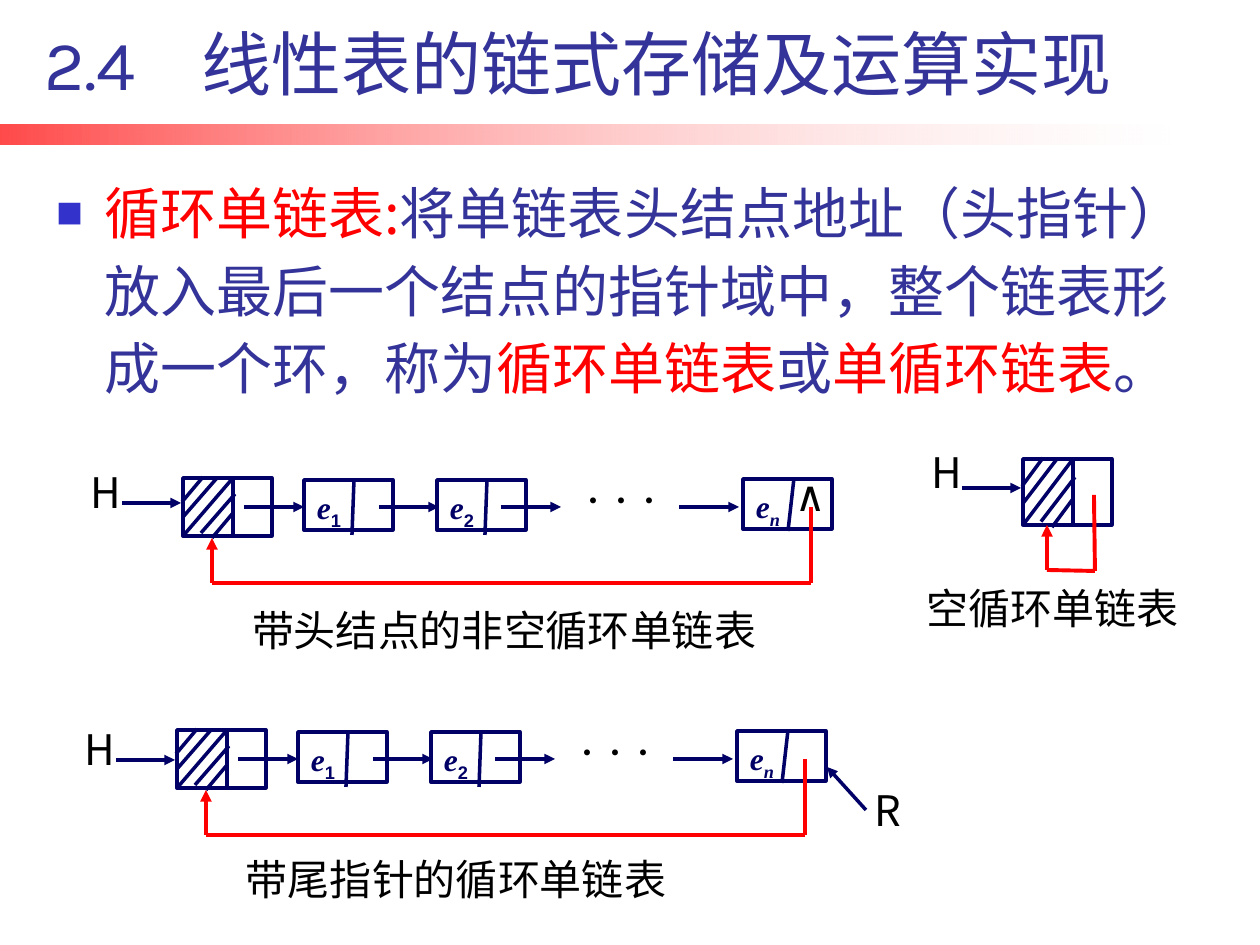
from dataclasses import dataclass

from lxml.etree import SubElement
from pptx import Presentation
from pptx.dml.color import RGBColor
from pptx.enum.shapes import MSO_CONNECTOR as Connector, MSO_SHAPE as Preset
from pptx.enum.text import MSO_ANCHOR as Anchor, PP_ALIGN as Align
from pptx.oxml.ns import qn
from pptx.util import Emu, Pt

EMU_PER_PX = 914400 / 126


@dataclass(frozen=True)
class Theme:
    ink: str = "000066"
    indigo: str = "333399"
    bullet: str = "3333CC"
    red: str = "FF0000"
    black: str = "000000"
    white: str = "FFFFFF"
    cjk: str = "Noto Sans CJK SC"
    heading: str = "Karla"
    serif: str = "Times New Roman"
    sans: str = "Arial"
    title_size: int = 40
    body_size: int = 32
    body_pitch: float = 44.3
    label_size: int = 24
    node_size: int = 18
    dots_size: int = 16
    line: float = 2
    loop_line: float = 2.25


def px(length):
    return Emu(round(length * EMU_PER_PX))


def write(paragraph, text, *, font, size, color, bold=False, italic=False, baseline=None):
    run = paragraph.add_run()
    run.text = text
    run.font.size = Pt(size)
    run.font.bold = bold
    run.font.italic = italic
    run.font.color.rgb = RGBColor.from_string(color)
    run.font.name = font
    properties = run._r.get_or_add_rPr()
    SubElement(properties, qn("a:ea"), typeface=Theme.cjk)
    if baseline is not None:
        properties.set("baseline", str(baseline * 1000))


class Board:
    def __init__(self, slide, theme):
        self.slide = slide
        self.theme = theme

    def frame(self, shape, left=13, top=0, right=0, bottom=0, anchor=Anchor.TOP, wrap=True):
        frame = shape.text_frame
        frame.margin_left, frame.margin_top = px(left), px(top)
        frame.margin_right, frame.margin_bottom = px(right), px(bottom)
        frame.vertical_anchor = anchor
        frame.word_wrap = wrap
        paragraph = frame.paragraphs[0]
        paragraph.alignment = Align.LEFT
        return paragraph

    def title(self, number, text, x, y, w, h, tab):
        shape = self.slide.shapes.title
        shape.left, shape.top, shape.width, shape.height = map(px, (x, y, w, h))
        paragraph = self.frame(shape, left=0, anchor=Anchor.BOTTOM)
        tabs = SubElement(paragraph._p.get_or_add_pPr(), qn("a:tabLst"))
        SubElement(tabs, qn("a:tab"), pos=str(px(tab)), algn="l")
        write(paragraph, f"{number}\t{text}", font=self.theme.heading,
              size=self.theme.title_size, color=self.theme.indigo)

    def bullet(self, parts, x, y, w, h, indent):
        shape = self.slide.shapes.add_textbox(*map(px, (x, y, w, h)))
        paragraph = self.frame(shape, right=6, anchor=Anchor.BOTTOM)
        paragraph.line_spacing = Pt(self.theme.body_pitch)
        properties = paragraph._p.get_or_add_pPr()
        properties.set("marL", str(px(indent)))
        properties.set("indent", str(-px(indent)))
        color = SubElement(properties, qn("a:buClr"))
        SubElement(color, qn("a:srgbClr"), val=self.theme.bullet)
        SubElement(properties, qn("a:buSzPct"), val="80000")
        SubElement(properties, qn("a:buFont"), typeface=self.theme.sans)
        SubElement(properties, qn("a:buChar"), char="■")
        for text, color in parts:
            write(paragraph, text, font=self.theme.cjk, size=self.theme.body_size, color=color)

    def label(self, text, x, y, w, h=63, size=None, font=None):
        shape = self.slide.shapes.add_textbox(*map(px, (x, y, w, h)))
        paragraph = self.frame(shape, wrap=False)
        write(paragraph, text, font=font or self.theme.cjk,
              size=size or self.theme.label_size, color=self.theme.black)

    def box(self, x, y, w, h):
        shape = self.slide.shapes.add_shape(Preset.RECTANGLE, *map(px, (x, y, w, h)))
        shape.shadow.inherit = False
        shape.fill.background()
        shape.line.color.rgb = RGBColor.from_string(self.theme.ink)
        shape.line.width = Pt(self.theme.line)
        return shape

    def band(self, x, y, w, h):
        shape = self.box(x, y, w, h)
        shape.line.fill.background()
        shape.fill.gradient()
        shape.fill.gradient_angle = 0
        colors = (self.theme.red, 71), (self.theme.white, 18)
        for stop, (color, opacity) in zip(shape.fill.gradient_stops, colors):
            stop.color.rgb = RGBColor.from_string(color)
        for node, (_, opacity) in zip(shape._element.spPr.iter(qn("a:srgbClr")), colors):
            SubElement(node, qn("a:alpha"), val=str(opacity * 1000))

    def line(self, start, end, color=None, width=None, arrow=False):
        connector = self.slide.shapes.add_connector(
            Connector.STRAIGHT, *map(px, (*start, *end)))
        connector.line.color.rgb = RGBColor.from_string(color or self.theme.ink)
        connector.line.width = Pt(width or self.theme.line)
        if arrow:
            SubElement(connector.line._get_or_add_ln(), qn("a:tailEnd"), type="triangle")
        SubElement(connector._element.spPr, qn("a:effectLst"))

    def loop(self, x, y, points):
        points = [(x + dx, y + dy) for dx, dy in points]
        last = len(points) - 2
        for index, (start, end) in enumerate(zip(points, points[1:])):
            self.line(start, end, self.theme.red, self.theme.loop_line, arrow=index == last)

    def head_node(self, x, y, height=58):
        self.box(x, y, 89, height)
        self.line((x + 50, y), (x + 50, y + height + 2))
        hatches = (20, -1, -1, 24), (34, 0, 0, 39), (50, 0, 0, 58), (52, 16, 18, 55), (50, 35, 29, 60)
        for x1, y1, x2, y2 in hatches:
            self.line((x + x1, y + y1 * height / 58), (x + x2, y + y2 * height / 58))

    def head_pointer(self, x, y, rise=36):
        self.label("H", x - 105, y - rise, 47)
        self.line((x - 61, y), (x - 2, y), arrow=True)

    def node(self, index, x, y, divider):
        shape = self.box(x, y, 89, 50)
        paragraph = self.frame(shape, top=8)
        style = dict(size=self.theme.node_size, color=self.theme.ink, bold=True)
        numeric = index.isdigit()
        write(paragraph, "e", font=self.theme.serif, italic=True, **style)
        write(paragraph, index, font=self.theme.sans if numeric else self.theme.serif,
              italic=not numeric, baseline=-25, **style)
        x1, y1, x2, y2 = divider
        self.line((x + x1, y + y1), (x + x2, y + y2))

    def chain(self, x, y):
        self.head_node(x, y)
        self.node("1", x + 121, y + 2, (50, 0, 48, 55))
        self.node("2", x + 254, y + 2, (50, 0, 48, 55))
        self.node("n", x + 560, y + 1, (51, -1, 45, 52))
        for start in (61, 196, 318, 496):
            self.line((x + start, y + 29), (x + start + 60, y + 29), arrow=True)
        self.label("···", x + 384, y + 6, 111, 46, size=self.theme.dots_size)
        self.loop(x, y, [(628, 29), (628, 105), (29, 105), (29, 60)])


def main():
    presentation = Presentation()
    presentation.slide_width, presentation.slide_height = px(1260), px(945)
    slide = presentation.slides.add_slide(presentation.slide_layouts[5])
    theme = Theme()
    board = Board(slide, theme)

    board.band(0, 125, 1171, 20)
    board.title("2.4", "线性表的链式存储及运算实现", 44, 38, 1110, 67, tab=158)
    board.bullet([
        ("循环单链表:", theme.red),
        ("将单链表头结点地址（头指针）放入最后一个结点的指针域中，整个链表形成一个环，称为", theme.indigo),
        ("循环单链表", theme.red),
        ("或", theme.indigo),
        ("单循环链表", theme.red),
        ("。", theme.indigo),
    ], 43, 154, 1181, 247, indent=48)

    board.chain(183, 478)
    board.head_pointer(183, 503)
    board.label("∧", 782, 470, 57, font=theme.heading)
    board.label("带头结点的非空循环单链表", 239, 605, 534)

    board.head_node(1023, 459, height=66)
    board.head_pointer(1023, 488, rise=41)
    board.loop(1023, 459, [(71, 36), (72, 112), (24, 111), (24, 66)])
    board.label("空循环单链表", 914, 583, 280)

    board.chain(177, 730)
    board.head_pointer(177, 760)
    board.label("R", 861, 785, 47)
    board.line((866, 810), (827, 767), arrow=True)
    board.label("带尾指针的循环单链表", 233, 854, 450)

    presentation.save("out.pptx")


if __name__ == "__main__":
    main()
